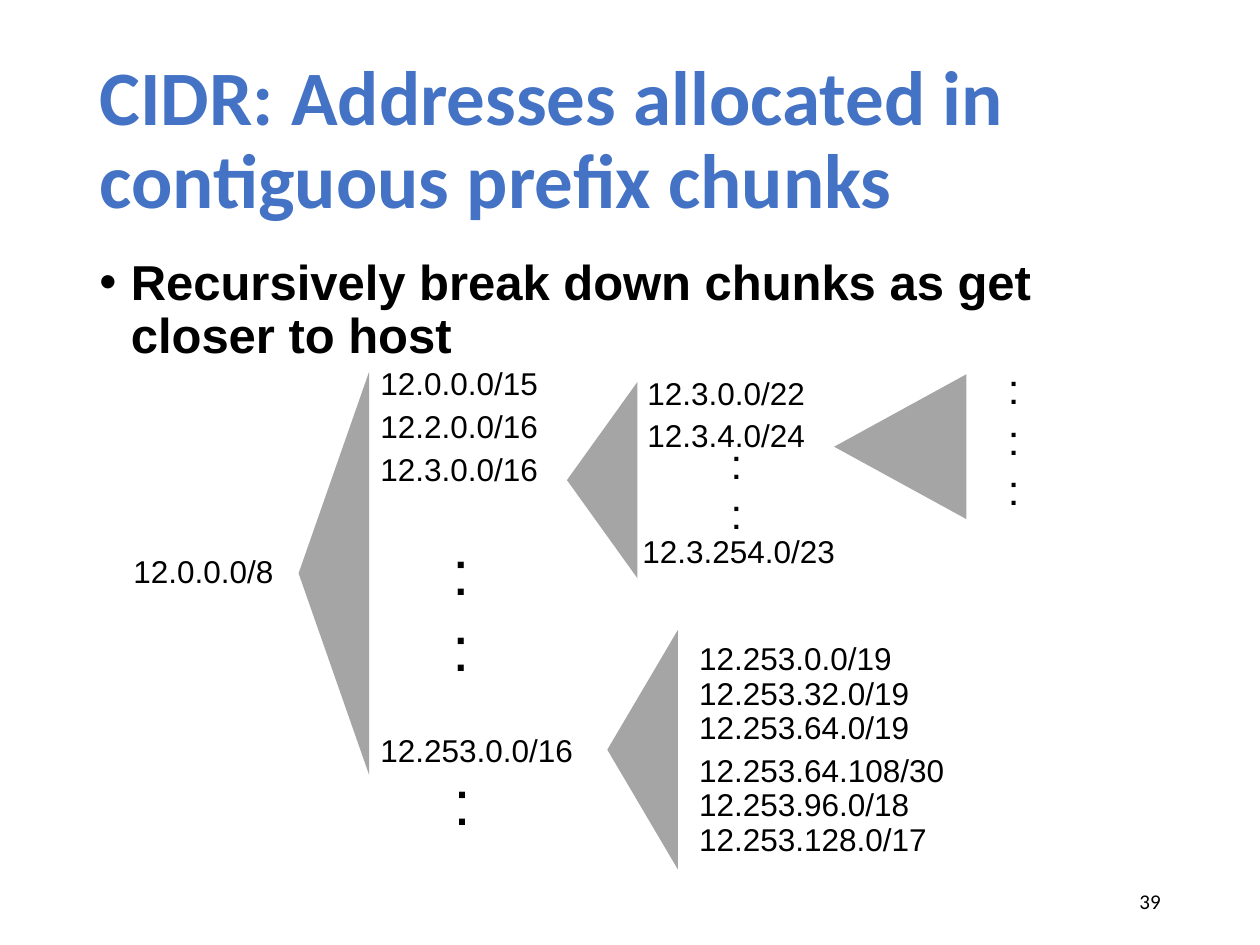
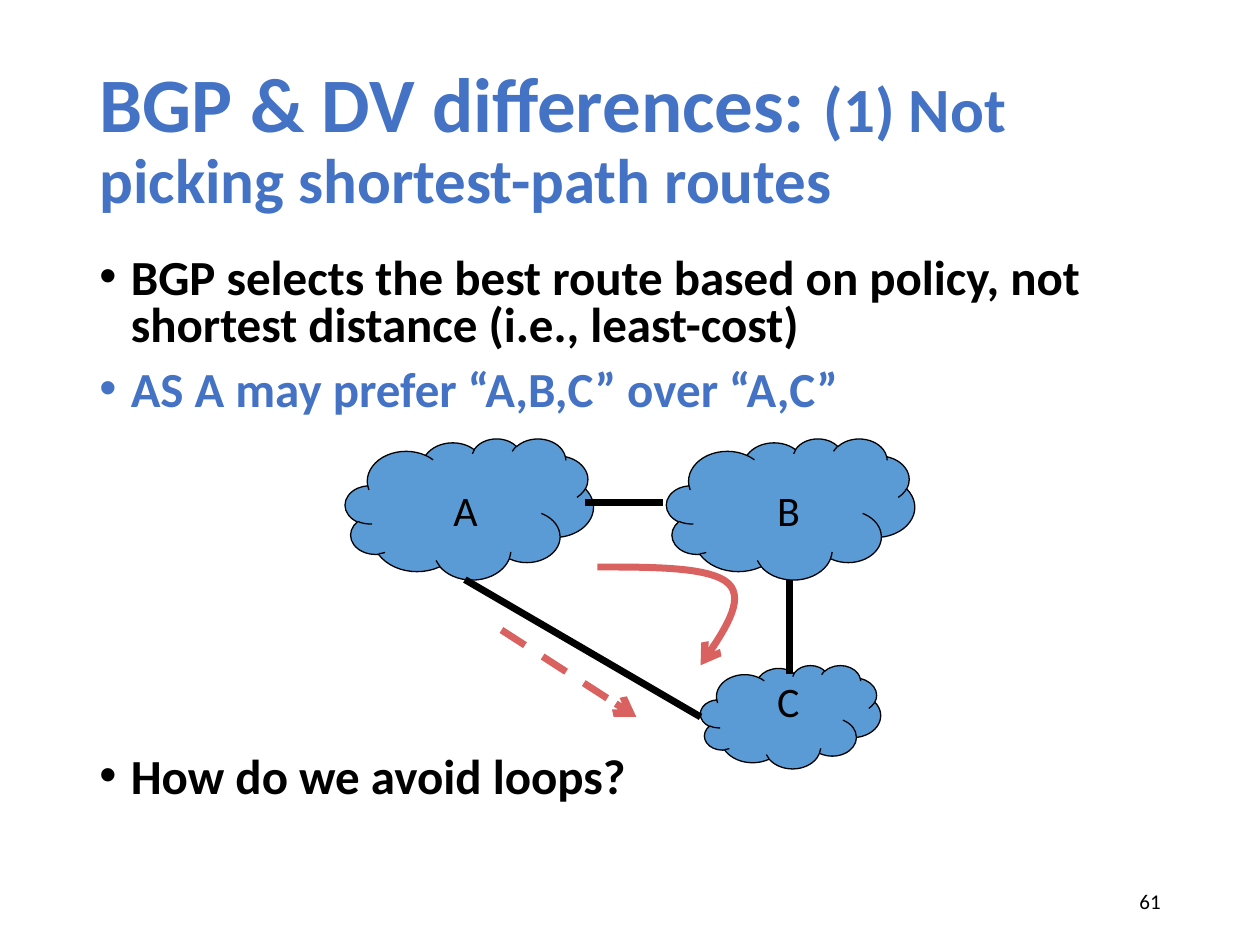
from lxml import etree
from pptx import Presentation
from pptx import util as u
from pptx.dml.color import RGBColor
from pptx.enum import dml, shapes, text
from pptx.oxml.ns import qn

HUES = {"head": "4472C4", "ink": "000000", "wedge": "A5A5A5",
        "cloud": "5B9BD5", "path": "D9615F"}
SANS, MAIN = "Arial", "Calibri"
INCH = u.Inches


def hue(name):
    return RGBColor.from_string(HUES[name])


def add_run(para, words, size, font=MAIN, tint="ink", bold=False):
    run = para.add_run()
    run.text = words
    run.font.size = u.Pt(size)
    run.font.name = font
    run.font.bold = bold
    run.font.color.rgb = hue(tint)


def add_box(slide, box, wrap=True):
    frame = slide.shapes.add_textbox(*map(INCH, box)).text_frame
    frame.word_wrap = wrap
    return frame


def add_label(slide, box, lines, size=18, font=SANS):
    frame = add_box(slide, box, wrap=False)
    for i, line in enumerate(lines):
        para = frame.add_paragraph() if i else frame.paragraphs[0]
        add_run(para, line, size, font)


# Shared slide parts
def add_page(deck, runs, number):
    slide = deck.slides.add_slide(deck.slide_layouts[5])
    title = slide.shapes.title
    title.left, title.top, title.width, title.height = map(
        INCH, (0.69, 0.4, 8.62, 1.45))
    frame = title.text_frame
    frame.word_wrap = True
    frame.auto_size = text.MSO_AUTO_SIZE.NONE
    frame.vertical_anchor = text.MSO_ANCHOR.MIDDLE
    para = frame.paragraphs[0]
    para.alignment = text.PP_ALIGN.LEFT
    para.line_spacing = 0.9
    for words, size in runs:
        add_run(para, words, size, tint="head", bold=True)

    foot = add_box(slide, (7.06, 6.95, 2.25, 0.4))
    foot.vertical_anchor = text.MSO_ANCHOR.MIDDLE
    foot.paragraphs[0].alignment = text.PP_ALIGN.RIGHT
    add_run(foot.paragraphs[0], str(number), 12)
    return slide


def add_points(slide, box, points, font, pitch):
    frame = add_box(slide, box)
    for i, (words, tint) in enumerate(points):
        para = frame.add_paragraph() if i else frame.paragraphs[0]
        props = para._p.get_or_add_pPr()
        props.set("marL", str(INCH(0.25)))
        props.set("indent", str(INCH(-0.25)))
        etree.SubElement(props, qn("a:buFont")).set("typeface", SANS)
        etree.SubElement(props, qn("a:buChar")).set("char", "•")
        para.line_spacing = pitch
        if i:
            para.space_before = u.Pt(10)
        add_run(para, words, 28, font, tint, bold=True)


# Address tree
def add_wedge(slide, box):
    """Triangle that points left and fills the box."""
    x, y, w, h = box
    wedge = slide.shapes.add_shape(
        shapes.MSO_SHAPE.ISOSCELES_TRIANGLE,
        *map(INCH, (x + (w - h) / 2, y + (h - w) / 2, h, w)))
    wedge.rotation = 270
    wedge.shadow.inherit = False
    wedge.fill.solid()
    wedge.fill.fore_color.rgb = hue("wedge")
    wedge.line.fill.background()


def add_tree(slide, box):
    left, top = box[:2]
    wedges = [(1.41, 0.12, 0.56, 3.2), (3.54, 0.2, 0.56, 1.56),
              (3.86, 2.17, 0.56, 1.9), (5.66, 0.14, 1.05, 1.15)]
    for x, y, w, h in wedges:
        add_wedge(slide, (left + x, top + y, w, h))

    # Columns: x, then each prefix with its y and width
    columns = [
        (0, [("12.0.0.0/8", 1.5, 1.45)]),
        (1.96, [("12.0.0.0/15", 0.01, 1.61), ("12.2.0.0/16", 0.35, 1.61),
                ("12.3.0.0/16", 0.69, 1.61), ("12.253.0.0/16", 2.92, 1.92)]),
        (4.08, [("12.3.0.0/22", 0.09, 1.61), ("12.3.4.0/24", 0.42, 1.61)]),
        (4.04, [("12.3.254.0/23", 1.34, 1.92)]),
        (4.49, [("12.253.0.0/19", 2.19, 1.92), ("12.253.32.0/19", 2.47, 2.08),
                ("12.253.64.0/19", 2.74, 2.08),
                ("12.253.64.108/30", 3.08, 2.39),
                ("12.253.96.0/18", 3.35, 2.08),
                ("12.253.128.0/17", 3.63, 2.23)]),
    ]
    for x, cells in columns:
        for prefix, y, w in cells:
            add_label(slide, (left + x, top + y, w, 0.44), [prefix])

    # Dots for the prefixes left out
    dots = [(2.53, 1.35, 0.34, 1.31, 2, 36), (4.74, 0.59, 0.3, 0.91, 2, 24),
            (6.94, 0, 0.3, 1.31, 3, 24), (2.54, 3.17, 0.34, 0.71, 1, 36)]
    for x, y, w, h, count, size in dots:
        add_label(slide, (left + x, top + y, w, h), [":"] * count, size)


# Route map
def style_line(line, tint, dash=False, arrow=False):
    line.color.rgb = hue(tint)
    line.width = u.Pt(4)
    if dash:
        line.dash_style = dml.MSO_LINE.DASH
    if arrow:
        etree.SubElement(line._get_or_add_ln(),
                         qn("a:tailEnd")).set("type", "arrow")


def add_link(slide, start, end, tint="ink", **style):
    link = slide.shapes.add_connector(
        shapes.MSO_CONNECTOR.STRAIGHT, *map(INCH, start + end))
    style_line(link.line, tint, **style)
    etree.SubElement(link._element.spPr, qn("a:effectLst"))


def curve(a, b, c, d, steps=16):
    """Points on a cubic curve, after its start."""
    for i in range(1, steps + 1):
        t = i / steps
        s = 1 - t
        yield tuple(INCH(s**3 * p + 3 * s * s * t * q + 3 * s * t * t * r
                         + t**3 * v) for p, q, r, v in zip(a, b, c, d))


def add_bend(slide, start, *parts):
    build = slide.shapes.build_freeform(*map(INCH, start))
    for part in parts:
        build.add_line_segments(list(curve(start, *part)), close=False)
        start = part[-1]
    bend = build.convert_to_shape()
    bend.shadow.inherit = False
    bend.fill.background()
    style_line(bend.line, "path", arrow=True)


def add_cloud(slide, box):
    cloud = slide.shapes.add_shape(shapes.MSO_SHAPE.CLOUD, *map(INCH, box))
    cloud.shadow.inherit = False
    cloud.fill.solid()
    cloud.fill.fore_color.rgb = hue("cloud")
    cloud.line.color.rgb = hue("ink")
    cloud.line.width = u.Pt(0.75)


def add_map(slide, box):
    left, top = box[:2]

    def at(x, y):
        return left + x, top + y

    # Chosen path and shorter path
    add_bend(slide, at(2, 1.02),
             (at(2.45, 1.02), at(2.9, 1.02), at(3.04, 1.15)),
             (at(3.18, 1.28), at(3, 1.54), at(2.82, 1.8)))
    add_link(slide, at(1.24, 1.52), at(2.31, 2.21), "path",
             dash=True, arrow=True)

    # Networks
    for x, y, w, h in [(2.82, 1.8, 1.43, 0.82), (2.55, 0, 1.97, 1.12),
                       (0, 0, 1.97, 1.12)]:
        add_cloud(slide, at(x, y) + (w, h))

    # Links between networks
    for start, end in [((1.9, 0.51), (2.52, 0.51)),
                       ((0.95, 1.12), (2.82, 2.21)),
                       ((3.53, 1.12), (3.53, 1.87))]:
        add_link(slide, at(*start), at(*end))
    for name, x, y, w, h in [("A", 0.76, 0.32, 0.39, 0.37),
                             ("B", 3.33, 0.32, 0.37, 0.37),
                             ("C", 3.33, 1.83, 0.45, 0.5)]:
        add_label(slide, at(x, y) + (w, h), [name], 24, MAIN)


def main():
    deck = Presentation()
    deck.slide_width, deck.slide_height = INCH(10), INCH(7.5)

    page = add_page(
        deck, [("CIDR: Addresses allocated in contiguous prefix chunks", 44)],
        39)
    add_points(page, (0.69, 2, 8.62, 0.9),
               [("Recursively break down chunks as get closer to host", "ink")],
               SANS, 0.9)
    add_tree(page, (0.96, 2.83, 7.24, 4.07))

    page = add_page(deck, [("BGP & DV differences: ", 44),
                           ("(1) Not picking shortest-path routes", 36)], 61)
    add_points(page, (0.69, 2, 8.62, 1.4),
               [("BGP selects the best route based on policy, not shortest "
                 "distance (i.e., least-cost)", "ink"),
                ("AS A may prefer “A,B,C” over “A,C”", "head")], MAIN, 0.8)
    add_map(page, (2.74, 3.48, 4.52, 2.62))
    add_points(page, (0.69, 5.96, 8.62, 0.5),
               [("How do we avoid loops?", "ink")], MAIN, 0.8)

    deck.save("out.pptx")


if __name__ == "__main__":
    main()
